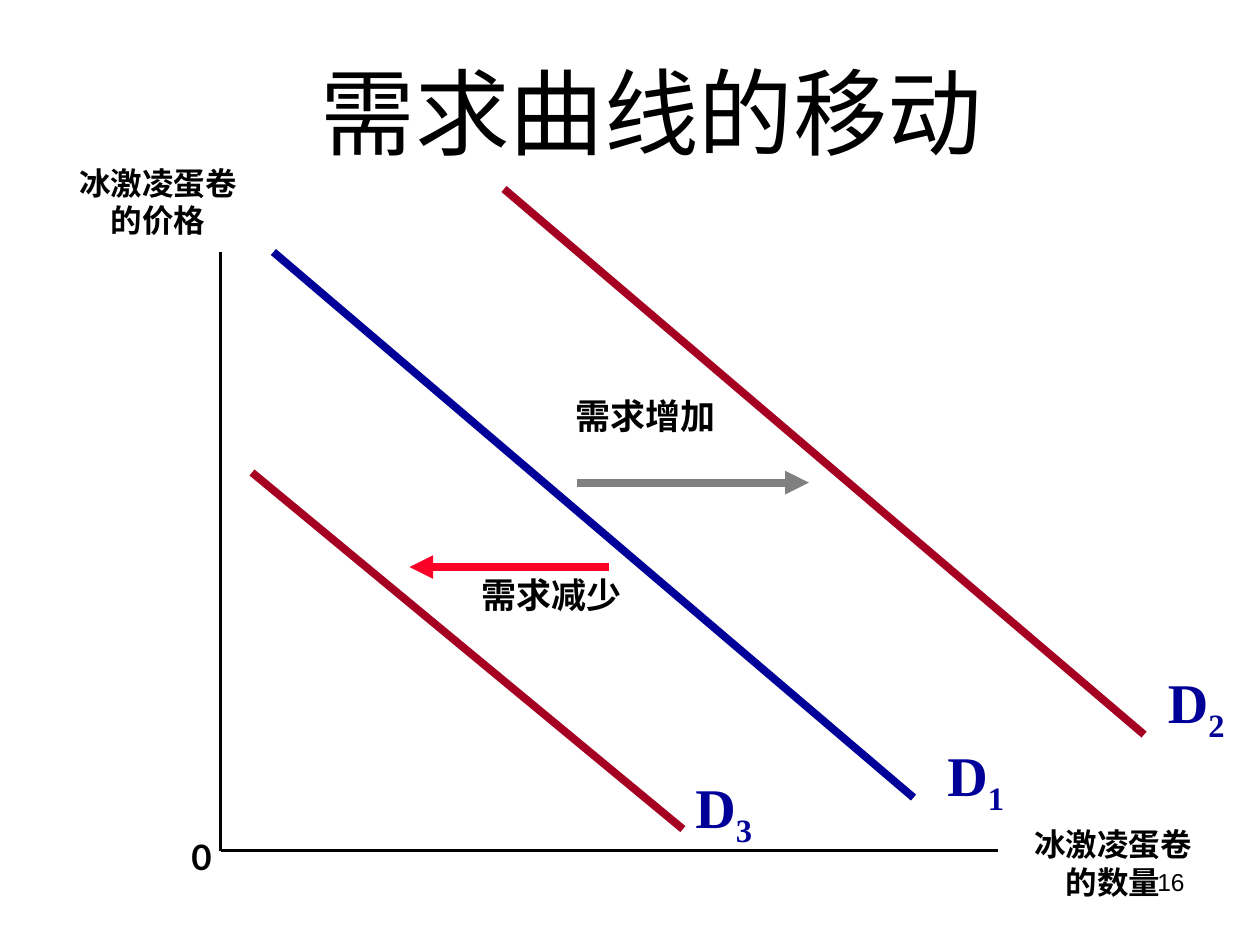
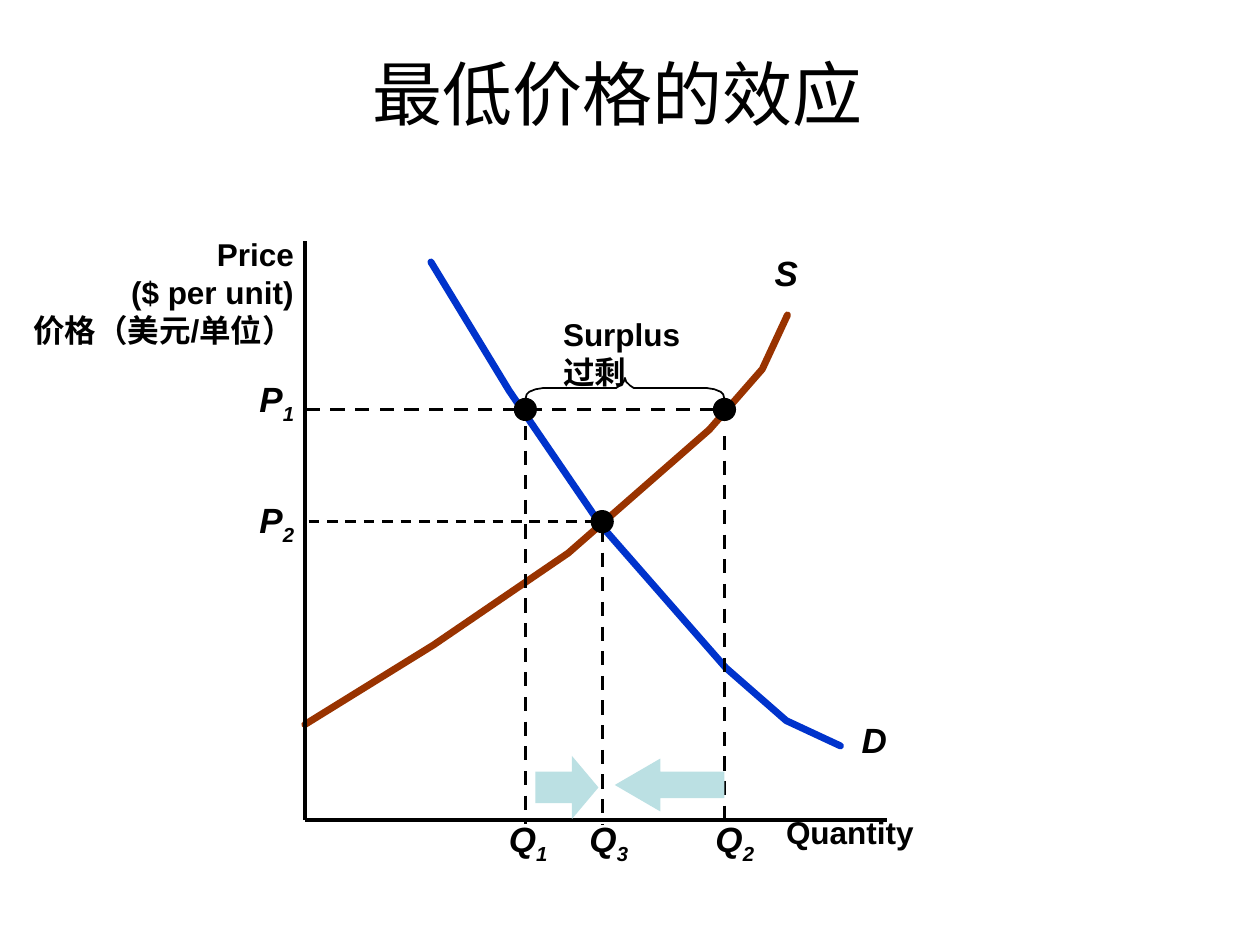
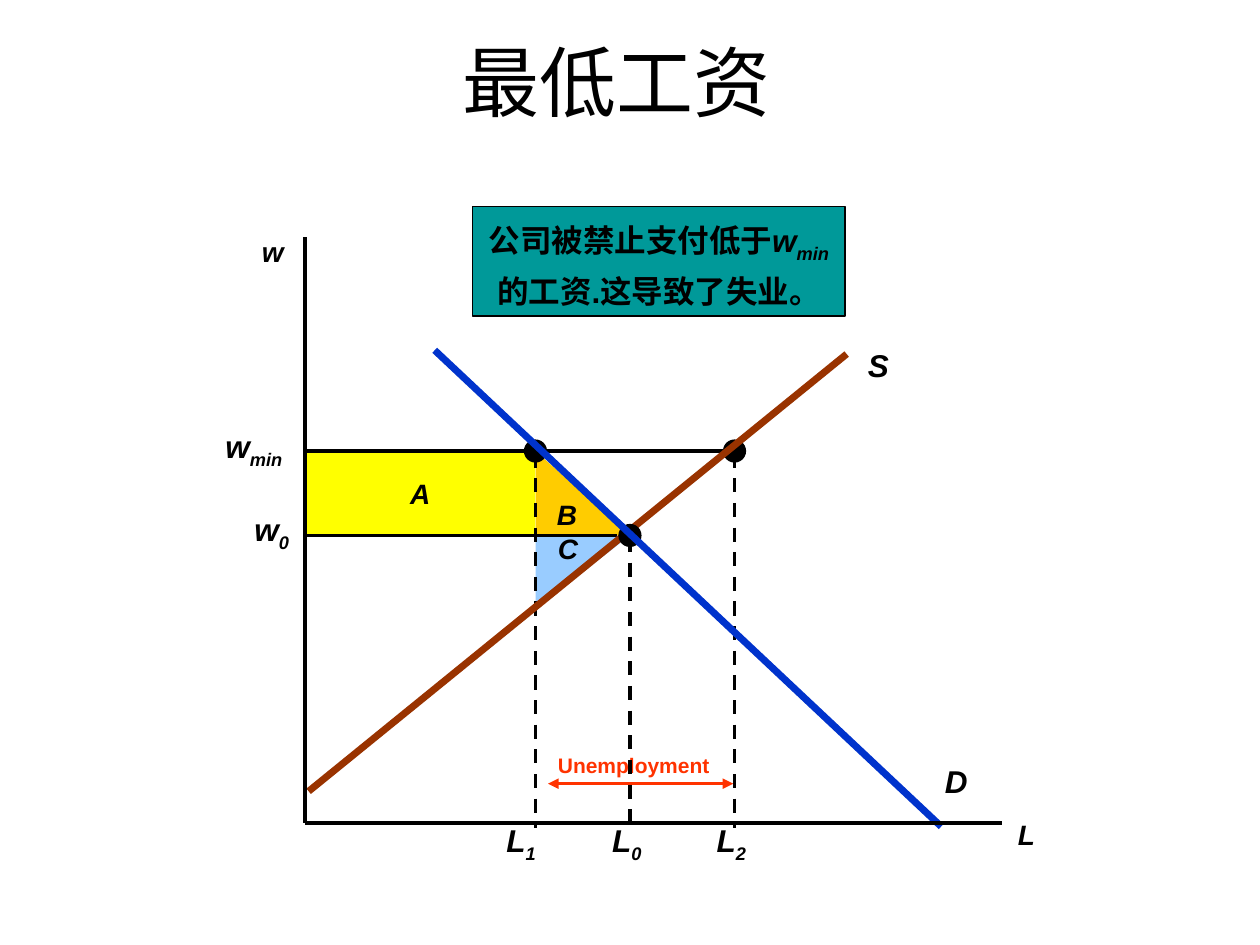
from dataclasses import dataclass

from lxml.etree import SubElement
from pptx import Presentation
from pptx.dml.color import RGBColor
from pptx.enum.dml import MSO_LINE
from pptx.enum.shapes import MSO_CONNECTOR, MSO_SHAPE
from pptx.enum.text import MSO_ANCHOR, MSO_AUTO_SIZE, PP_ALIGN
from pptx.oxml.ns import qn
from pptx.slide import Slide
from pptx.util import Inches, Pt

BLACK = RGBColor(0x00, 0x00, 0x00)
GRAY = RGBColor(0x80, 0x80, 0x80)
NAVY = RGBColor(0x00, 0x00, 0x99)
CRIMSON = RGBColor(0xA5, 0x00, 0x21)
RED = RGBColor(0xFC, 0x01, 0x28)
DEMAND_BLUE = RGBColor(0x00, 0x33, 0xCC)
SUPPLY_BROWN = RGBColor(0x99, 0x33, 0x00)
PALE_TEAL = RGBColor(0xBB, 0xE0, 0xE3)
TEAL = RGBColor(0x00, 0x99, 0x99)
YELLOW = RGBColor(0xFF, 0xFF, 0x00)
AMBER = RGBColor(0xFF, 0xCC, 0x00)
SKY = RGBColor(0x99, 0xCC, 0xFF)
ORANGE_RED = RGBColor(0xFF, 0x33, 0x00)

DOT = 0.17
TITLE_LAYOUT = 5


def add_run(p, text, size, font="Arial", color=BLACK, bold=True, italic=False, sub=False):
    r = p.add_run()
    r.text = text
    r.font.name, r.font.size = font, Pt(size)
    r.font.bold, r.font.italic = bold, italic
    r.font.color.rgb = color
    if sub:
        r.font._element.set("baseline", "-25000")


def fill_text(tf, lines, size, align=PP_ALIGN.LEFT, **style):
    """Write one paragraph per line; what follows "_" becomes a subscript."""
    for i, line in enumerate(lines):
        p = tf.add_paragraph() if i else tf.paragraphs[0]
        p.alignment = align
        base, _, sub = line.partition("_")
        add_run(p, base, size, **style)
        if sub:
            add_run(p, sub, size, sub=True, **style)


def add_title(prs, text, size, box, anchor):
    s = prs.slides.add_slide(prs.slide_layouts[TITLE_LAYOUT])
    title = s.shapes.title
    title.left, title.top, title.width, title.height = map(Inches, box)
    tf = title.text_frame
    tf.auto_size = MSO_AUTO_SIZE.NONE
    tf.vertical_anchor = anchor
    fill_text(tf, [text], size, PP_ALIGN.CENTER, bold=False)
    return s


@dataclass
class Plot:
    """Axis box in inches; every part is placed from its top left corner."""
    slide: Slide
    left: float
    top: float
    width: float
    height: float

    def at(self, x, y):
        return Inches(self.left + x), Inches(self.top + y)

    def line(self, start, end, color=BLACK, width=2, dash=False, ends=()):
        c = self.slide.shapes.add_connector(
            MSO_CONNECTOR.STRAIGHT, *self.at(*start), *self.at(*end))
        c.line.color.rgb, c.line.width = color, Pt(width)
        if dash:
            c.line.dash_style = MSO_LINE.DASH
        ln = c.line._get_or_add_ln()
        for end_name in ends:
            SubElement(ln, qn(f"a:{end_name}"), type="triangle")
        SubElement(c._element.spPr, qn("a:effectLst"))

    def axes(self, width=2):
        for end in ((0, 0), (self.width, self.height)):
            self.line((0, self.height), end, width=width)

    def drop(self, x, y, overshoot):
        self.line((x, y), (x, self.height + overshoot), dash=True)

    def curve(self, points, color=BLACK, width=4):
        start, *rest = [self.at(*point) for point in points]
        builder = self.slide.shapes.build_freeform(*start)
        builder.add_line_segments(rest, close=False)
        sp = builder.convert_to_shape()
        sp.shadow.inherit = False
        sp.fill.background()
        sp.line.color.rgb, sp.line.width = color, Pt(width)
        sp.line._get_or_add_ln().set("cap", "rnd")

    def shape(self, kind, x, y, w, h, fill, outline=None, flip=False):
        sp = self.slide.shapes.add_shape(kind, *self.at(x, y), Inches(w), Inches(h))
        sp.shadow.inherit = False
        sp.fill.solid()
        sp.fill.fore_color.rgb = fill
        if outline is None:
            sp.line.fill.background()
        else:
            sp.line.color.rgb, sp.line.width = outline, Pt(1)
        if flip:
            sp._element.spPr.get_or_add_xfrm().set("flipH", "1")
        sp.text_frame.word_wrap = False
        return sp

    def dot(self, x, y):
        self.shape(MSO_SHAPE.OVAL, x - DOT / 2, y - DOT / 2, DOT, DOT, BLACK, BLACK)

    def label(self, x, y, w, h, *lines, size=18, wrap=False, **style):
        box = self.slide.shapes.add_textbox(*self.at(x, y), Inches(w), Inches(h))
        tf = box.text_frame
        tf.word_wrap = wrap
        tf.auto_size = MSO_AUTO_SIZE.SHAPE_TO_FIT_TEXT
        fill_text(tf, lines, size, **style)


def add_slide_number(slide, number, box):
    tf = slide.shapes.add_textbox(*map(Inches, box)).text_frame
    tf.word_wrap = True
    fill_text(tf, [number], 14, PP_ALIGN.RIGHT, bold=False)


def draw_demand_shift(slide, box):
    plot = Plot(slide, *box)
    plot.axes(2.25)
    curves = [
        ("D_1", (0.42, 0), (5.5, 4.33), NAVY, (5.67, 3.83)),
        ("D_2", (2.25, -0.5), (7.33, 3.83), CRIMSON, (7.42, 3.25)),
        ("D_3", (0.25, 1.75), (3.67, 4.58), CRIMSON, (3.67, 4.08)),
    ]
    for name, start, end, color, corner in curves:
        plot.line(start, end, color, 4.5)
        plot.label(*corner, 0.83, 0.71, name, size=32, wrap=True,
                   font="Times New Roman", color=NAVY)

    shifts = [
        ("需求增加", (2.25, 1.08), (2.83, 1.83), (4.67, 1.83), GRAY),
        ("需求减少", (1.5, 2.5), (3.08, 2.5), (1.5, 2.5), RED),
    ]
    for text, corner, start, end, color in shifts:
        plot.line(start, end, color, 4.5, ends=["tailEnd"])
        plot.label(*corner, 2.25, 0.44, text, size=20, wrap=True,
                   font="Lato", align=PP_ALIGN.CENTER)

    plot.label(-0.33, 4.58, 0.83, 0.44, "0", size=20, wrap=True, font="Lato")
    for text, x, y in (("冰激凌蛋卷的价格", -1.33, -0.75), ("冰激凌蛋卷的数量", 6.25, 4.5)):
        plot.label(x, y, 1.67, 0.7, text, wrap=True, font="Lato", align=PP_ALIGN.CENTER)


def draw_brace(plot, x, y):
    """Upward brace whose tip is at x, y."""
    half = [(0.79, 0.17), (0.78, 0.13), (0.76, 0.11), (0.71, 0.09), (0.65, 0.08),
            (0.13, 0.08), (0.07, 0.08), (0.04, 0.06), (0.01, 0.03)]
    right = [(x + dx, y + dy) for dx, dy in half]
    left = [(x - dx, y + dy) for dx, dy in reversed(half)]
    plot.curve(right + [(x, y)] + left, width=1)


def draw_price_floor(slide, box):
    plot = Plot(slide, *box)
    q1, q3, q2 = 1.75, 2.36, 3.33
    p1, p2 = 1.34, 2.23
    plot.curve([(1, 0.17), (1.62, 1.19), (2.35, 2.26), (3.34, 3.39),
                (3.82, 3.81), (4.25, 4.01)], DEMAND_BLUE)
    plot.curve([(0, 3.84), (1.02, 3.21), (2.09, 2.48), (3.21, 1.5),
                (3.63, 1.02), (3.83, 0.59)], SUPPLY_BROWN)
    plot.label(4.32, 3.74, 0.4, 0.43, "D", size=20, italic=True)
    plot.label(3.63, 0.04, 0.38, 0.43, "S", size=20, italic=True)

    plot.line((3.25, p1), (-0.04, p1), dash=True)
    plot.line((0.03, p2), (2.29, p2), width=1.5, dash=True)
    for x, y in ((q1, 1.47), (q2, 1.55), (q3, 2.28)):
        plot.drop(x, y, 0.03)
    for x, y in ((q1, p1), (q2, p1), (q3, p2)):
        plot.dot(x, y)
    for name, x in (("Q_1", 1.52), ("Q_2", 3.16), ("Q_3", 2.16)):
        plot.label(x, 4.53, 0.55, 0.48, name, size=20, italic=True)
    for name, y in (("P_1", 1.04), ("P_2", 2)):
        plot.label(-0.46, y, 0.52, 0.48, name, size=20, italic=True)

    draw_brace(plot, (q1 + q2) / 2, 1.09)
    plot.label(1.95, 0.54, 1.15, 0.7, "Surplus", "过剩")
    plot.axes()
    plot.label(3.72, 4.49, 1.3, 0.4, "Quantity")
    plot.label(-2.38, -0.09, 2.39, 1, "Price", "($ per unit)", "价格（美元/单位）",
               align=PP_ALIGN.RIGHT)
    for x, y, w, h, head, flip in ((1.83, 4.09, 0.5, 0.5, 0.42, False),
                                   (2.46, 4.11, 0.87, 0.42, 0.86, True)):
        arrow = plot.shape(MSO_SHAPE.RIGHT_ARROW, x, y, w, h, PALE_TEAL, flip=flip)
        arrow.adjustments[1] = head


def draw_callout(plot, x, y, w, h):
    tf = plot.shape(MSO_SHAPE.RECTANGLE, x, y, w, h, TEAL, BLACK).text_frame
    tf.vertical_anchor = MSO_ANCHOR.TOP
    tf.auto_size = MSO_AUTO_SIZE.SHAPE_TO_FIT_TEXT
    fill_text(tf, ["公司被禁止支付低于", "的工资.这导致了失业。"], 18, PP_ALIGN.CENTER)
    add_run(tf.paragraphs[0], "w", 18, italic=True)
    add_run(tf.paragraphs[0], "min", 18, italic=True, sub=True)
    for p in tf.paragraphs:
        p.line_spacing = 1.2


def draw_minimum_wage(slide, box):
    plot = Plot(slide, *box)
    l1, l0, l2 = 1.83, 2.58, 3.41
    w_min, w0 = 1.7, 2.37
    area_c = plot.shape(MSO_SHAPE.RIGHT_TRIANGLE, l1, w0, l0 - l1, 0.58, SKY, flip=True)
    area_c.rotation = 180
    for name, kind, x, w, color in (
            ("B", MSO_SHAPE.RIGHT_TRIANGLE, l1, l0 - l1, AMBER),
            ("A", MSO_SHAPE.RECTANGLE, 0, l1, YELLOW)):
        area = plot.shape(kind, x, w_min, w, w0 - w_min, color)
        area.text_frame.vertical_anchor = MSO_ANCHOR.MIDDLE
        fill_text(area.text_frame, [name], 16, PP_ALIGN.CENTER, italic=True)

    plot.line((0.01, w_min), (3.35, w_min))
    plot.line((0.01, w0), (2.48, w0))
    plot.line((1.93, 4.34), (3.4, 4.34), ORANGE_RED, ends=["headEnd", "tailEnd"])
    plot.label(1.91, 4.04, 1.5, 0.3, "Unemployment", size=12, color=ORANGE_RED)
    for x, y in ((l1, w_min), (l2, w_min), (l0, w0)):
        plot.drop(x, y + 0.02, 0.04)

    plot.dot(l1, w_min)
    plot.dot(l2, w_min)
    plot.line((0.03, 4.4), (4.3, 0.93), SUPPLY_BROWN, 4)
    plot.dot(l0, w0)
    plot.line((1.03, 0.9), (5.05, 4.68), DEMAND_BLUE, 4)
    plot.axes()
    draw_callout(plot, 1.33, -0.24, 2.96, 0.87)

    labels = [
        ("w_min", -0.73, 1.46, 0.68, 0.44, 18), ("w_0", -0.5, 2.12, 0.52, 0.44, 18),
        ("L_1", 1.5, 4.59, 0.46, 0.44, 18), ("L_0", 2.34, 4.59, 0.46, 0.44, 18),
        ("L_2", 3.17, 4.59, 0.46, 0.44, 18), ("S", 4.37, 0.82, 0.37, 0.4, 18),
        ("D", 4.98, 4.12, 0.38, 0.4, 18), ("C", 1.91, 2.29, 0.36, 0.36, 16),
        ("L", 5.56, 4.56, 0.33, 0.36, 16), ("w", -0.44, -0.07, 0.37, 0.36, 16),
    ]
    for name, x, y, w, h, size in labels:
        plot.label(x, y, w, h, name, size=size, italic=True)


def main():
    prs = Presentation()
    prs.slide_width, prs.slide_height = Inches(10), Inches(7.5)

    s = add_title(prs, "需求曲线的移动", 54, (0.67, 0.25, 9, 1.25), MSO_ANCHOR.MIDDLE)
    add_slide_number(s, "16", (7.17, 6.83, 2.33, 0.52))
    draw_demand_shift(s, (1.75, 2, 6.17, 4.75))

    s = add_title(prs, "最低价格的效应 ", 40, (0.6, 0.33, 8.73, 0.79), MSO_ANCHOR.BOTTOM)
    draw_price_floor(s, (2.42, 1.91, 4.62, 4.6))

    s = add_title(prs, "最低工资 ", 44, (0.6, 0.21, 8.73, 0.85), MSO_ANCHOR.BOTTOM)
    draw_minimum_wage(s, (2.42, 1.88, 5.53, 4.65))

    prs.save("out.pptx")


if __name__ == "__main__":
    main()
